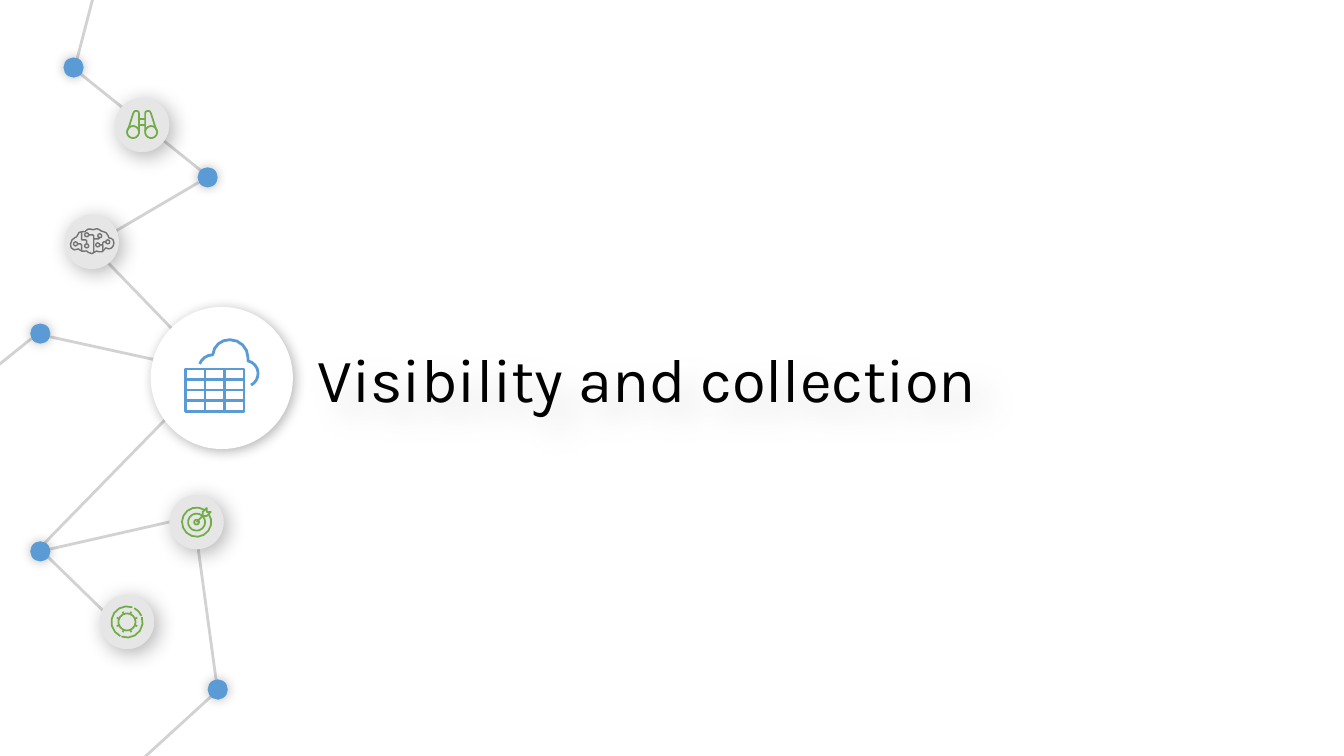
"""Build the section slide with a network of icon nodes beside its title."""
import math
from dataclasses import dataclass
from typing import Any

import pptx
import pptx.dml.color
import pptx.enum.shapes
import pptx.enum.text
import pptx.oxml
import pptx.oxml.ns
import pptx.util

COLORS = {"link": "D2D2D2", "node": "E7E6E6", "dot": "5B9BD5", "hub": "FFFFFF",
          "green": "70AD47", "brain": "737373", "text": "000000"}
FONT = "Karla"
Point = tuple[float, float]
Stroke = list[Point]


@dataclass(frozen=True)
class Shadow:
    """A soft shadow: opacity in percent, lengths in points, angle in degrees."""
    opacity: int
    blur: float
    distance: float
    angle: int


@dataclass(frozen=True)
class Disc:
    """A filled circle given by its centre and diameter in inches."""
    x: float
    y: float
    size: float
    color: str
    shadow: Shadow


@dataclass(frozen=True)
class Icon:
    """A line drawing on a disc."""
    disc: Disc
    strokes: list[Stroke]
    color: str
    weight: float


def length(inches: float) -> pptx.util.Length:
    """Turn inches into a length."""
    return pptx.util.Cm(inches * 2.54)


def rgb(name: str) -> pptx.dml.color.RGBColor:
    """Look up a colour by its name."""
    return pptx.dml.color.RGBColor.from_string(COLORS[name])


def arc(x: float, y: float, radius: float, start: float = 0, end: float = 360) -> Stroke:
    """Sample a circular arc between two angles, coarsely where it is small."""
    count = max(1, round(abs(end - start) / (24 if radius > 0.05 else 45)))
    angles = [math.radians(start + (end - start) * step / count) for step in range(count + 1)]
    return [(x + radius * math.cos(angle), y + radius * math.sin(angle)) for angle in angles]


def curve(points: Stroke, steps: int) -> Stroke:
    """Sample a chain of cubic curves that share their end points."""
    result = [points[0]]
    for first in range(0, len(points) - 1, 3):
        knots = points[first:first + 4]
        for step in range(1, steps + 1):
            t = step / steps
            weights = ((1 - t) ** 3, 3 * t * (1 - t) ** 2, 3 * t * t * (1 - t), t ** 3)
            result.append((sum(w * knot[0] for w, knot in zip(weights, knots)),
                           sum(w * knot[1] for w, knot in zip(weights, knots))))
    return result


def gear(x: float, y: float) -> list[Stroke]:
    """Return a toothed wheel inside a broken ring."""
    teeth = [[arc(x, y, r, angle, angle)[0] for r in (0.085, 0.11)]
             for angle in (22.5 + 45 * step for step in range(8))]
    ring = [arc(x, y, 0.155, *span) for span in ((-70, -245), (111, -18), (-23, -62))]
    return [arc(x, y, 0.085), *ring, *teeth]


def target(x: float, y: float) -> list[Stroke]:
    """Return a target hit by a dart."""
    dart = [(2.09, 5.08), (2.05, 5.08), (2.05, 5.04), (2.01, 5.08),
            (2.01, 5.12), (2.05, 5.12), (2.09, 5.08)]
    return [arc(x, y, 0.145, -36, 303), arc(x, y, 0.085), arc(x, y, 0.025),
            [(x, y), (2.01, 5.12)], dart]


def binoculars(x: float) -> list[Stroke]:
    """Return binoculars that mirror about a vertical axis."""
    top = curve([(1.5, 1.13), (1.49, 1.11), (1.49, 1.1), (1.47, 1.1),
                 (1.45, 1.1), (1.44, 1.11), (1.44, 1.13)], 3)
    half = [arc(1.5, 1.31, 0.06), [(1.55, 1.29), *top, (1.44, 1.31)]]
    mirrored = [[(2 * x - px, py) for px, py in stroke] for stroke in half]
    return [*half, *mirrored, *([(1.38, y), (1.44, y)] for y in (1.18, 1.24))]


def brain() -> list[Stroke]:
    """Return a brain with circuit traces."""
    centers = [(1.07, 2.4), (0.97, 2.43), (0.86, 2.33), (0.99, 2.34), (0.86, 2.44), (0.75, 2.42)]
    traces = [[(0.81, 2.49), (0.81, 2.43), (0.8, 2.42), (0.77, 2.42)],
              [(0.93, 2.51), (0.93, 2.34), (0.92, 2.33), (0.88, 2.33)],
              [(0.93, 2.37), (0.98, 2.37), (0.99, 2.35)],
              [(0.81, 2.3), (0.81, 2.38), (0.85, 2.38), (0.86, 2.39), (0.86, 2.42)],
              [(1.05, 2.4), (1.03, 2.4), (1.02, 2.41), (1.02, 2.46)],
              [(1.02, 2.49), (1.02, 2.44), (1.01, 2.43), (0.99, 2.43)]]
    outline = curve([
        (1.05, 2.46), (1.06, 2.46), (1.07, 2.47), (1.08, 2.47), (1.11, 2.47), (1.13, 2.44),
        (1.13, 2.41), (1.13, 2.38), (1.11, 2.36), (1.08, 2.36), (1.08, 2.36), (1.07, 2.29),
        (1, 2.29), (1, 2.29), (0.97, 2.25), (0.92, 2.28), (0.92, 2.28), (0.87, 2.25),
        (0.84, 2.3), (0.84, 2.3), (0.77, 2.28), (0.76, 2.35), (0.76, 2.35), (0.7, 2.37),
        (0.7, 2.42), (0.69, 2.46), (0.73, 2.5), (0.78, 2.47), (0.78, 2.47), (0.81, 2.51),
        (0.86, 2.49), (0.86, 2.49), (0.91, 2.55), (0.96, 2.49), (0.96, 2.49), (1.02, 2.53),
        (1.05, 2.46)], 3)
    return [*(arc(x, y, 0.02) for x, y in centers), *traces, outline]


NODE_SHADOW = Shadow(30, 15, 4, 45)
DOT_SHADOW = Shadow(27, 8, 0, 0)
TITLE_SHADOW = Shadow(12, 22, 15, 45)
HUB = Disc(2.2, 3.75, 1.41, "hub", Shadow(30, 9, 2, 45))
CLOUD = curve([(1.98, 3.61), (2, 3.56), (2.05, 3.52), (2.11, 3.52), (2.12, 3.43), (2.19, 3.37),
               (2.28, 3.37), (2.38, 3.37), (2.46, 3.45), (2.46, 3.55), (2.46, 3.56), (2.46, 3.57),
               (2.46, 3.58), (2.51, 3.59), (2.56, 3.64), (2.56, 3.7), (2.56, 3.76), (2.53, 3.8),
               (2.49, 3.82)], 4)
LINKS = [((0.31, 3.36), (-0.1, 3.69)), ((2.09, 3.69), (0.49, 3.34)), ((2.18, 6.83), (1.25, 7.68)),
         ((1.93, 5.18), (2.17, 6.94)), ((0.91, 2.44), (2.09, 3.66)), ((0.44, 5.49), (1.28, 6.31)),
         ((0.44, 5.46), (1.85, 5.14)), ((2.09, 3.7), (0.44, 5.39)), ((1.97, 1.81), (0.93, 2.42)),
         ((0.77, 0.71), (2.04, 1.73)), ((0.75, 0.64), (0.93, -0.05))]
DOTS = [(2.06, 1.76), (2.16, 6.84), (0.73, 0.67), (0.4, 5.47), (0.4, 3.31)]
ICONS = [Icon(Disc(x, y, 0.54, "node", NODE_SHADOW), strokes, color, weight)
         for x, y, strokes, color, weight in (
             (1.26, 6.17, gear(1.26, 6.17), "green", 1.25),
             (1.95, 5.18, target(1.95, 5.18), "green", 1.25),
             (0.91, 2.4, brain(), "brain", 1),
             (1.41, 1.24, binoculars(1.41), "green", 1.25))]


def add_shadow(shape: Any, shadow: Shadow) -> None:
    """Give a shape a soft outer shadow."""
    shape.shadow.inherit = False
    effects = shape.element.spPr.find(pptx.oxml.ns.qn("a:effectLst"))
    effects.append(pptx.oxml.parse_xml(
        f'<a:outerShdw {pptx.oxml.ns.nsdecls("a")} blurRad="{pptx.util.Pt(shadow.blur)}" '
        f'dist="{pptx.util.Pt(shadow.distance)}" dir="{shadow.angle * 60000}" algn="ctr" '
        f'rotWithShape="0"><a:srgbClr val="{COLORS["text"]}">'
        f'<a:alpha val="{shadow.opacity * 1000}"/></a:srgbClr></a:outerShdw>'))


def set_outline(shape: Any, color: str, weight: float) -> None:
    """Set the colour and width of a line."""
    shape.line.color.rgb = rgb(color)
    shape.line.width = pptx.util.Pt(weight)


def add_line(shapes: Any, start: Point, end: Point, color: str) -> Any:
    """Draw a straight line without a shadow."""
    line = shapes.add_connector(pptx.enum.shapes.MSO_CONNECTOR.STRAIGHT,
                                *map(length, (*start, *end)))
    set_outline(line, color, 2)
    line.element.spPr.append(pptx.oxml.parse_xml(
        f'<a:effectLst {pptx.oxml.ns.nsdecls("a")}/>'))
    return line


def add_disc(shapes: Any, disc: Disc) -> None:
    """Draw a filled circle with its shadow."""
    shape = shapes.add_shape(
        pptx.enum.shapes.MSO_SHAPE.OVAL, length(disc.x - disc.size / 2),
        length(disc.y - disc.size / 2), length(disc.size), length(disc.size))
    shape.fill.solid()
    shape.fill.fore_color.rgb = rgb(disc.color)
    shape.line.fill.background()
    add_shadow(shape, disc.shadow)


def add_strokes(shapes: Any, strokes: list[Stroke], color: str, weight: float) -> None:
    """Draw strokes as one unfilled outline."""
    paths = [[(length(x), length(y)) for x, y in stroke] for stroke in strokes]
    builder = shapes.build_freeform(*paths[0][0])
    for index, points in enumerate(paths):
        if index:
            builder.move_to(*points[0])
        closed = points[0] == points[-1]
        builder.add_line_segments(points[1:-1] if closed else points[1:], close=closed)
    shape = builder.convert_to_shape()
    shape.fill.background()
    set_outline(shape, color, weight)
    shape.shadow.inherit = False


def add_hub(page: Any) -> None:
    """Draw the large circle with a table and a cloud."""
    shapes = page.shapes.add_group_shape().shapes
    add_disc(shapes, HUB)
    left, top, width, height = 1.84, 3.66, 0.58, 0.42
    frame = shapes.add_shape(pptx.enum.shapes.MSO_SHAPE.RECTANGLE,
                             *map(length, (left, top, width, height)))
    frame.fill.background()
    set_outline(frame, "dot", 2)
    frame.shadow.inherit = False
    for column in (1, 2):
        x = left + width * column / 3
        add_line(shapes, (x, top), (x, top + height), "dot")
    for row in (1, 2, 3):
        y = top + height * row / 4
        line = add_line(shapes, (left, y), (left + width, y), "dot")
        if row == 2:
            line.begin_connect(frame, 1)
            line.end_connect(frame, 3)
    add_strokes(shapes, [CLOUD], "dot", 2)


def add_title(page: Any) -> None:
    """Place and format the title."""
    title = page.shapes.title
    title.left, title.top, title.width, title.height = map(length, (3.05, 3.28, 6.84, 0.94))
    frame = title.text_frame
    frame.margin_left = frame.margin_right = frame.margin_top = frame.margin_bottom = length(0.1)
    frame.word_wrap = True
    frame.auto_size = pptx.enum.text.MSO_AUTO_SIZE.SHAPE_TO_FIT_TEXT
    frame.vertical_anchor = pptx.enum.text.MSO_ANCHOR.MIDDLE
    para = frame.paragraphs[0]
    para.alignment = pptx.enum.text.PP_ALIGN.LEFT
    para.line_spacing = 1.0
    span = para.add_run()
    span.text = "Visibility and collection"
    span.font.name, span.font.size = FONT, pptx.util.Pt(44)
    span.font.color.rgb = rgb("text")
    add_shadow(title, TITLE_SHADOW)


def main() -> None:
    """Build and save the deck."""
    deck = pptx.Presentation()
    deck.slide_width, deck.slide_height = length(13.33), length(7.5)
    page = deck.slides.add_slide(deck.slide_layouts.get_by_name("Title Only"))
    for start, end in LINKS:
        add_line(page.shapes, start, end, "link")
    add_title(page)
    for icon in ICONS:
        shapes = page.shapes.add_group_shape().shapes
        add_disc(shapes, icon.disc)
        add_strokes(shapes, icon.strokes, icon.color, icon.weight)
    for x, y in DOTS:
        add_disc(page.shapes, Disc(x, y, 0.2, "dot", DOT_SHADOW))
    add_hub(page)
    deck.save("out.pptx")


if __name__ == "__main__":
    main()
